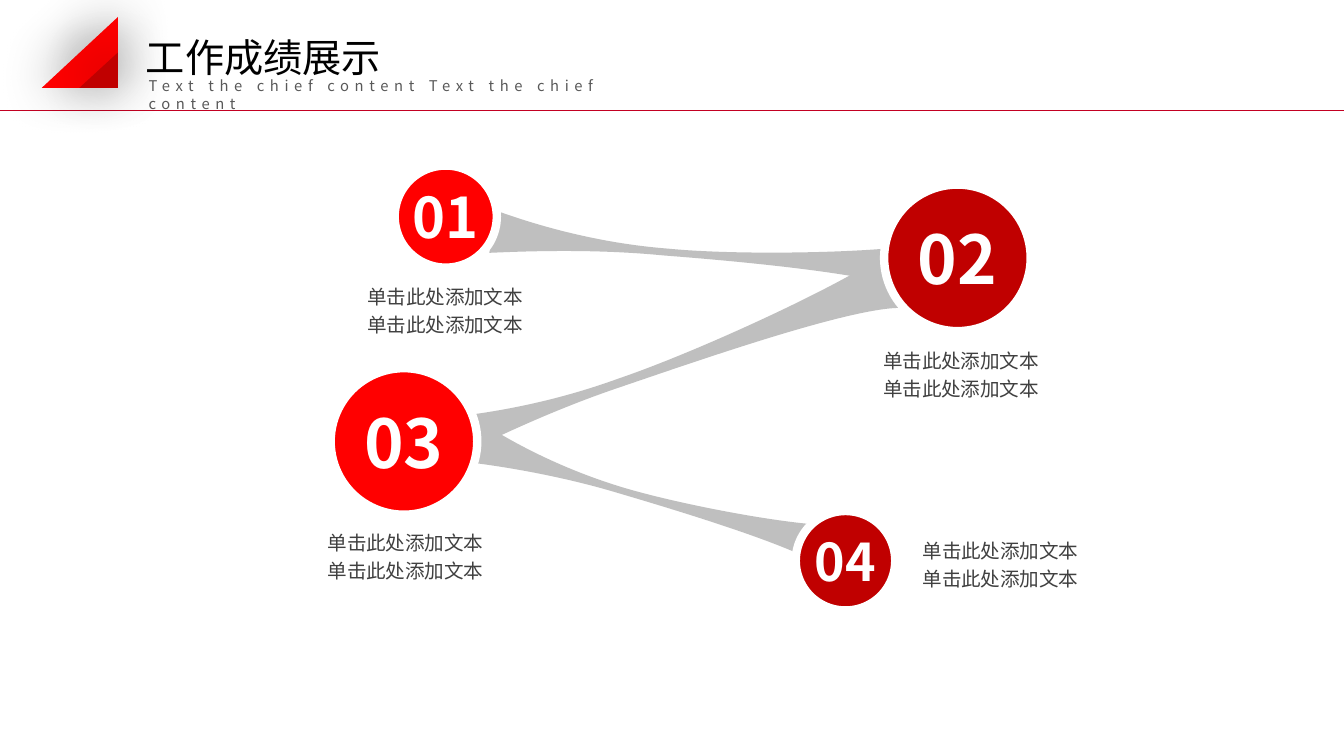
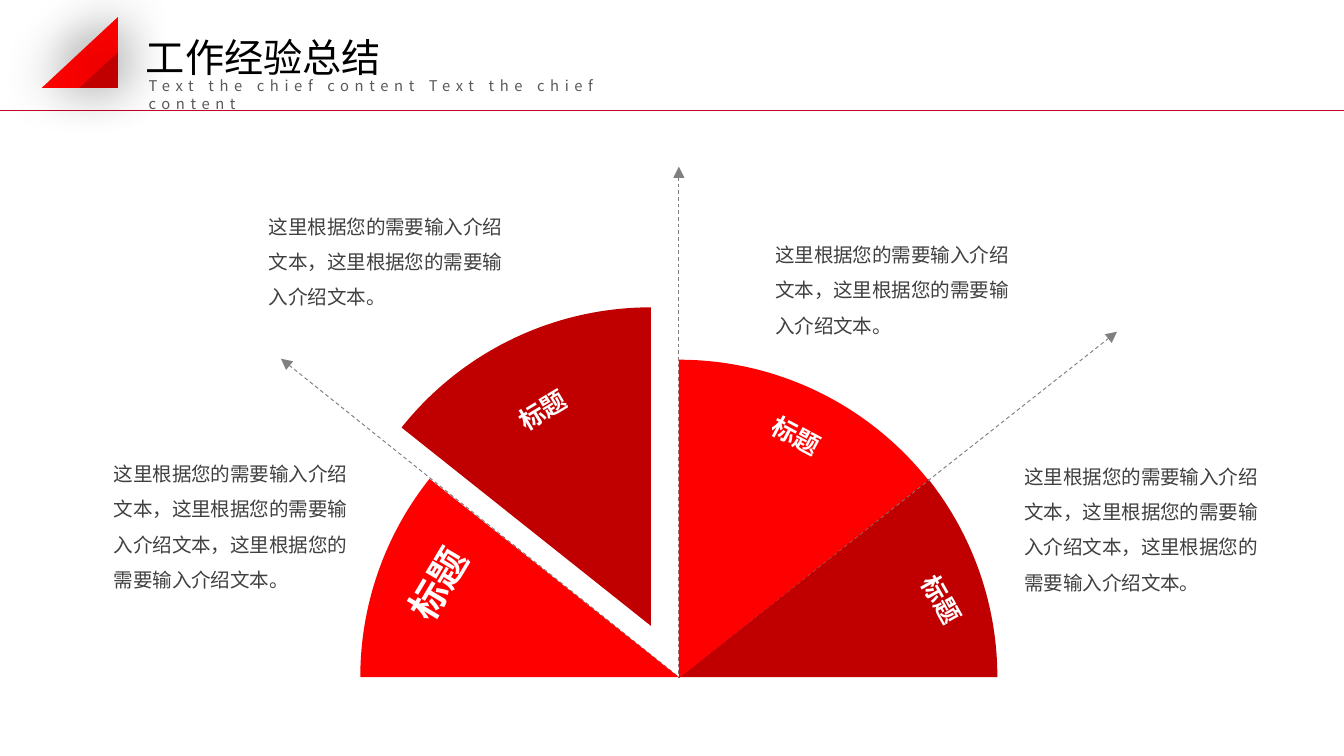
from dataclasses import dataclass
from math import cos, radians, sin, tan
from typing import Any

from lxml.etree import SubElement
from pptx import Presentation
from pptx.dml.color import RGBColor as Rgb
from pptx.enum.dml import MSO_LINE as Dash
from pptx.enum.shapes import MSO_CONNECTOR as Conn, MSO_SHAPE as Kind
from pptx.enum.text import MSO_ANCHOR as Anchor, MSO_AUTO_SIZE as Fit, PP_ALIGN as Align
from pptx.oxml.ns import qn
from pptx.util import Cm, Pt

FONT = "Noto Sans CJK SC"
RED, DARK, WHITE, BLACK = "FF0000", "C00000", "FFFFFF", "000000"
RULE, GREY, BAND, BODY, SUB = "C30022", "808080", "BFBFBF", "404040", "595959"
WIDE, HIGH = 25.4, 14.29
Spot = tuple[float, float]

MID = {"vertical_anchor": Anchor.MIDDLE, "margin_left": 0, "margin_top": 0,
       "margin_right": 0, "margin_bottom": 0, "word_wrap": True}
GROW = {"word_wrap": True, "auto_size": Fit.SHAPE_TO_FIT_TEXT}
LOOSE = {"word_wrap": False, "auto_size": Fit.SHAPE_TO_FIT_TEXT}
CENTRE = {"alignment": Align.CENTER}


@dataclass
class Box:
    x: float
    y: float
    w: float
    h: float


@dataclass
class Step:
    num: str
    x: float
    y: float
    size: float
    color: str
    pt: float
    note: Box


@dataclass
class Link:
    """A band between two circles; each edge is two joined cubic curves."""
    turn: float
    top: list[Spot]
    low: list[Spot]


@dataclass
class Wedge:
    hub: Spot
    start: float
    end: float
    color: str
    tag: Box
    turn: float
    pt: float
    note: Box
    count: int


def style(item: Any, vals: dict[str, Any]) -> None:
    for key, val in vals.items():
        setattr(item, key, val)


def paint(fmt: Any, color: str) -> None:
    """Give a fill or a font a plain colour."""
    if hasattr(fmt, "solid"):
        fmt.solid()
        fmt = fmt.fore_color
    else:
        fmt = fmt.color
    fmt.rgb = Rgb.from_string(color)


def write(shape: Any, lines: list[str], pt: float, color: str, frame: dict[str, Any],
          para: dict[str, Any], bold: bool = False, gap: int = 0) -> None:
    body = shape.text_frame
    style(body, frame)
    for i, line in enumerate(lines):
        p = body.add_paragraph() if i else body.paragraphs[0]
        style(p, para)
        run = p.add_run()
        run.text = line
        style(run.font, {"size": Pt(pt), "name": FONT, "bold": bold})
        paint(run.font, color)
        props = run.font._element
        SubElement(props, qn("a:ea"), typeface=FONT)
        if gap:
            props.set("spc", str(gap * 100))


def text(slide: Any, box: Box, *args: Any, turn: float = 0, **more: Any) -> None:
    area = slide.shapes.add_textbox(Cm(box.x), Cm(box.y), Cm(box.w), Cm(box.h))
    area.rotation = turn
    write(area, *args, **more)


def spin(spot: Spot, turn: float) -> Spot:
    c, s = cos(radians(turn)), sin(radians(turn))
    return spot[0] * c - spot[1] * s, spot[0] * s + spot[1] * c


def unturn(spots: list[Spot], turn: float) -> list[Spot]:
    """Place the spots so that a shape rotated by turn shows them as given."""
    flat = [spin(spot, -turn) for spot in spots]
    mid = tuple((min(axis) + max(axis)) / 2 for axis in zip(*flat))
    goal = spin(mid, turn)
    return [(x + goal[0] - mid[0], y + goal[1] - mid[1]) for x, y in flat]


def outline(slide: Any, start: Spot, parts: list[list[Spot]], color: str,
            turn: float = 0) -> Any:
    """Draw a closed outline; a part of one spot is a line, of three a cubic curve."""
    spots = unturn([start] + [spot for part in parts for spot in part], turn)
    first, *rest = [(Cm(x), Cm(y)) for x, y in spots]
    pen = slide.shapes.build_freeform(*first)
    pen.add_line_segments(rest, close=True)
    shape = pen.convert_to_shape()
    nodes = iter(list(shape._element.iter(qn("a:lnTo"))))
    for part in parts:
        node = next(nodes)
        if len(part) == 3:
            node.tag = qn("a:cubicBezTo")
            for extra in (next(nodes), next(nodes)):
                node.append(extra[0])
                extra.getparent().remove(extra)
    shape.rotation = turn
    paint(shape.fill, color)
    shape.line.fill.background()
    shape.shadow.inherit = False
    return shape


def line(slide: Any, start: Spot, end: Spot, color: str) -> Any:
    rule = slide.shapes.add_connector(Conn.STRAIGHT, *map(Cm, start + end))
    paint(rule.line.fill, color)
    rule.line.width = Pt(0.5)
    SubElement(rule._element.spPr, qn("a:effectLst"))
    return rule


def arrow(slide: Any, tip: Spot, base: Spot) -> None:
    """Draw a dashed line with its arrowhead at the tip."""
    ray = line(slide, tip, base, GREY)
    ray.line.dash_style = Dash.DASH
    SubElement(ray.line._get_or_add_ln(), qn("a:headEnd"), type="triangle")


def glow(shape: Any) -> None:
    """Add the wide soft shadow of the corner mark."""
    fx = shape._element.spPr.find(qn("a:effectLst"))
    shade = SubElement(fx, qn("a:outerShdw"), blurRad=str(Pt(30)), dist=str(Pt(3)),
                       dir="16200000", algn="ctr", rotWithShape="0")
    tone = SubElement(shade, qn("a:srgbClr"), val=BLACK)
    SubElement(tone, qn("a:alpha"), val="40000")


def sector(slide: Any, hub: Spot, start: float, end: float, color: str) -> None:
    a, b = radians(start), radians(end)
    pull = 4 / 3 * tan((b - a) / 4)

    def at(angle: float, k: float) -> Spot:
        """Go to the rim, then k radii along the tangent."""
        return (hub[0] + RADIUS * (cos(angle) - k * sin(angle)),
                hub[1] - RADIUS * (sin(angle) + k * cos(angle)))

    outline(slide, hub, [[at(a, 0)], [at(a, pull), at(b, -pull), at(b, 0)]], color)


def begin(deck: Any, title: str) -> Any:
    """Add a slide with the shared header."""
    slide = deck.slides.add_slide(deck.slide_layouts[6])
    text(slide, Box(2.51, 0.51, 4.95, 1.14), [title], 21, BLACK, LOOSE, {})
    text(slide, Box(2.56, 1.33, 10.49, 0.58),
         ["Text the chief content Text the chief content"], 7.9, SUB, GROW, {}, gap=3)
    line(slide, (0, 2.08), (WIDE, 2.08), RULE)
    return slide


def mark(slide: Any) -> None:
    """Draw the two corner triangles over the header."""
    right, low = 2.23, 1.66
    for left, top, color in ((0.79, 0.32, RED), (1.5, 0.99, DARK)):
        glow(outline(slide, (right, top), [[(left, low)], [(right, low)]], color, 180))


STEPS = [
    Step("01", 7.46, 3.13, 1.93, RED, 30, Box(5.47, 4.81, 5.89, 2.03)),
    Step("03", 6.25, 6.96, 2.77, RED, 36, Box(4.72, 9.47, 5.89, 2.03)),
    Step("02", 16.71, 3.49, 2.77, DARK, 36, Box(15.22, 6.02, 5.89, 2.03)),
    Step("04", 15.04, 9.66, 1.88, DARK, 27.8, Box(16.14, 9.32, 5.54, 2.62)),
]
LINKS = [
    Link(16.5, [(9.09, 7.98), (9.75, 8.41), (10.69, 8.89), (11.79, 9.22),
                (12.9, 9.55), (14.94, 9.93), (15.75, 9.93)],
         [(15.52, 10.69), (14.91, 10.29), (12.8, 9.65), (11.68, 9.32),
          (10.59, 8.99), (9.45, 8.81), (8.86, 8.74)]),
    Link(4.9, [(9.32, 3.96), (10.16, 4.27), (11.33, 4.6), (12.62, 4.7),
               (13.94, 4.83), (16.31, 4.78), (17.2, 4.65)],
         [(17.12, 5.46), (16.36, 5.16), (13.87, 4.93), (12.55, 4.83),
          (11.23, 4.7), (9.93, 4.75), (9.25, 4.78)]),
    Link(340.9, [(7.67, 7.95), (8.76, 7.9), (10.19, 7.7), (11.68, 7.16),
                 (13.18, 6.65), (15.75, 5.46), (16.66, 4.85)],
         [(16.99, 5.82), (15.98, 5.84), (13.16, 6.83), (11.66, 7.34),
          (10.16, 7.85), (8.76, 8.56), (8.03, 8.94)]),
]

HUB, RADIUS, SPLIT = (12.83, 12.8), 6.02, 38.5
TIPS = [(5.31, 6.78), (12.83, 3.15), (21.11, 6.27)]
WEDGES = [
    Wedge(HUB, 0, SPLIT, DARK, Box(16.71, 10.92, 2.16, 0.84), 60.7, 13.5,
          Box(19.11, 8.44, 5.11, 2.95), 3),
    Wedge((12.3, 11.83), 90, 180 - SPLIT, DARK, Box(9.18, 7.34, 2.16, 0.84), 328.8, 13.5,
          Box(4.83, 3.71, 5.11, 2.26), 2),
    Wedge(HUB, 180 - SPLIT, 180, RED, Box(7.2, 10.47, 2.16, 1.12), 300.7, 20.2,
          Box(1.9, 8.39, 5.11, 2.95), 3),
    Wedge((12.83, 12.82), SPLIT, 90, RED, Box(13.97, 7.82, 2.16, 0.84), 28, 13.5,
          Box(14.4, 4.25, 5.11, 2.26), 2),
]


def results(deck: Any) -> None:
    slide = begin(deck, "工作成绩展示")
    for link in LINKS:
        top, low = link.top, link.low
        outline(slide, top[0], [top[1:4], top[4:], low[:1], low[1:4], low[4:]],
                BAND, link.turn)
    for step in STEPS:
        disc = slide.shapes.add_shape(Kind.OVAL, Cm(step.x), Cm(step.y),
                                      Cm(step.size), Cm(step.size))
        disc.shadow.inherit = False
        paint(disc.fill, step.color)
        paint(disc.line.fill, WHITE)
        disc.line.width = Pt(4.5)
        write(disc, [step.num], step.pt, WHITE, MID, CENTRE, bold=True)
    for step in STEPS:
        text(slide, step.note, ["单击此处添加文本"] * 2, 10.5, BODY, MID,
             CENTRE | {"line_spacing": 1.2})
    mark(slide)


def lessons(deck: Any) -> None:
    slide = begin(deck, "工作经验总结")
    for i, wedge in enumerate(WEDGES):
        sector(slide, wedge.hub, wedge.start, wedge.end, wedge.color)
        text(slide, wedge.tag, ["标题"], wedge.pt, WHITE, GROW, CENTRE,
             bold=True, turn=wedge.turn)
        if i == 0:
            for tip in TIPS:
                arrow(slide, tip, HUB)
    for wedge in WEDGES:
        words = "，".join(["这里根据您的需要输入介绍文本"] * wedge.count) + "。"
        text(slide, wedge.note, [words], 10.5, BODY, GROW, {"line_spacing": 1.5})
    mark(slide)


def main() -> None:
    deck = Presentation()
    style(deck, {"slide_width": Cm(WIDE), "slide_height": Cm(HIGH)})
    results(deck)
    lessons(deck)
    deck.save("out.pptx")


if __name__ == "__main__":
    main()
